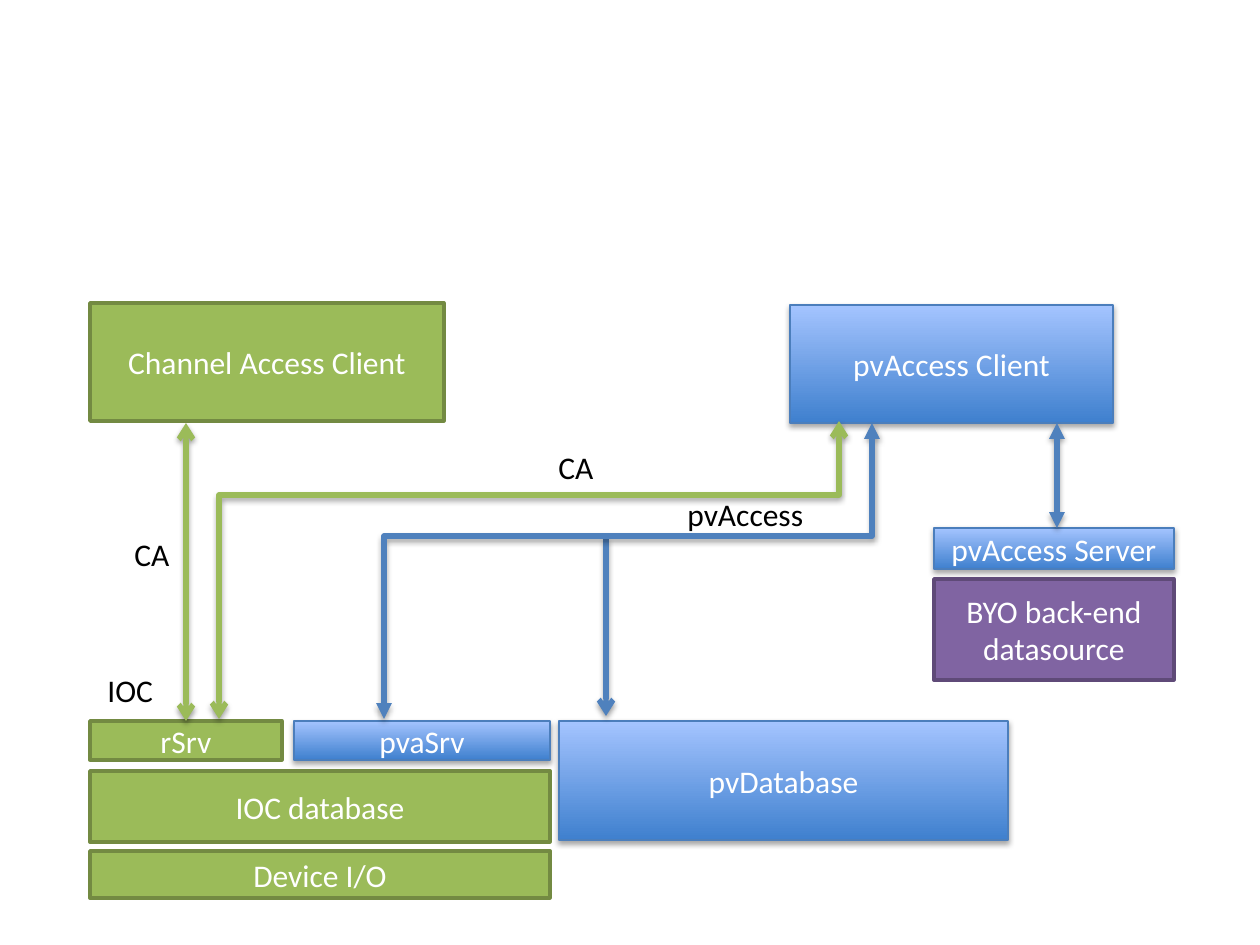
"""Build the architecture slide of Channel Access and pvAccess clients and servers."""
import lxml.etree
import pptx
import pptx.dml.color
import pptx.enum.shapes
import pptx.enum.text
import pptx.oxml.ns
import pptx.util

PX = 914400 / 126
FONT, SIZE = "Calibri", 18
WHITE, BLACK = "FFFFFF", "000000"
GREEN, BLUE = "9BBB59", "4F81BD"

STYLES = {
    "ca": {"fill": [GREEN], "line": "738A42", "width": 2},
    "pva": {"fill": ["3F80CE", "A4C4FF"], "line": "4B7EBC", "width": 0.75},
    "byo": {"fill": ["8064A2"], "line": "5F4A78", "width": 2},
}
BOXES = [
    ("pvAccess Client", "pva", 790, 305, 323, 118),
    ("Channel Access Client", "ca", 90, 303, 354, 118),
    ("IOC database", "ca", 90, 771, 460, 71),
    ("Device I/O", "ca", 90, 851, 460, 47),
    ("pvAccess Server", "pva", 934, 528, 240, 41),
    ("BYO back-end\ndatasource", "byo", 934, 579, 240, 101),
    ("pvDatabase", "pva", 559, 721, 449, 119),
    ("pvaSrv", "pva", 294, 721, 256, 39),
    ("rSrv", "ca", 90, 721, 192, 39),
]
LABELS = [
    ("pvAccess", 675, 489, 142),
    ("CA", 546, 442, 60),
    ("CA", 122, 529, 60),
    ("IOC", 95, 665, 72),
]
LABEL_HEIGHT = 50
STRAIGHT_LINKS = [
    (GREEN, (186, 423), (186, 721), "arrow", "arrow"),
    (BLUE, (1057, 423), (1057, 528), "triangle", "triangle"),
    (BLUE, (606, 539), (606, 716), None, "arrow"),
]
BENT_LINKS = [
    (BLUE, (872, 423), (384, 719), "triangle", 536),
    (GREEN, (839, 421), (219, 719), "arrow", 495),
]


def px(*values):
    return [pptx.util.Emu(round(v * PX)) for v in values]


def rgb(value):
    return pptx.dml.color.RGBColor.from_string(value)


def add_xml(parent, tag, **attributes):
    child = lxml.etree.SubElement(parent, pptx.oxml.ns.qn(tag))
    for name, value in attributes.items():
        child.set(name, str(value))
    return child


def add_shadow(effects, distance, opacity):
    shadow = add_xml(effects, "a:outerShdw", blurRad=40000, dist=distance,
                     dir=5400000, rotWithShape=0)
    add_xml(add_xml(shadow, "a:srgbClr", val=BLACK), "a:alpha", val=opacity * 1000)


def write(sp, text, color, align):
    p = sp.text_frame.paragraphs[0]
    p.text = text
    p.alignment = align
    for r in p.runs:
        r.font.name = FONT
        r.font.size = pptx.util.Pt(SIZE)
        r.font.color.rgb = rgb(color)


def add_box(s, text, style, *place):
    look = STYLES[style]
    sp = s.shapes.add_shape(pptx.enum.shapes.MSO_SHAPE.RECTANGLE, *px(*place))
    if len(look["fill"]) == 1:
        sp.fill.solid()
        sp.fill.fore_color.rgb = rgb(look["fill"][0])
    else:
        sp.fill.gradient()
        sp.fill.gradient_angle = 90
        for stop, color in zip(sp.fill.gradient_stops, look["fill"]):
            stop.color.rgb = rgb(color)
    sp.line.color.rgb = rgb(look["line"])
    sp.line.width = pptx.util.Pt(look["width"])
    sp.shadow.inherit = False
    if style == "pva":
        add_shadow(sp._element.spPr.find(pptx.oxml.ns.qn("a:effectLst")), 23000, 35)
    sp.text_frame.word_wrap = True
    sp.text_frame.vertical_anchor = pptx.enum.text.MSO_ANCHOR.MIDDLE
    write(sp, text, WHITE, pptx.enum.text.PP_ALIGN.CENTER)


def add_label(s, text, x, y, width):
    sp = s.shapes.add_textbox(*px(x, y, width, LABEL_HEIGHT))
    sp.text_frame.word_wrap = False
    sp.text_frame.auto_size = pptx.enum.text.MSO_AUTO_SIZE.SHAPE_TO_FIT_TEXT
    write(sp, text, BLACK, pptx.enum.text.PP_ALIGN.LEFT)


def format_link(link, color, head, tail):
    link.line.color.rgb = rgb(color)
    link.line.width = pptx.util.Pt(3)
    ln = link.line._get_or_add_ln()
    for tag, kind in (("a:headEnd", head), ("a:tailEnd", tail)):
        if kind:
            add_xml(ln, tag, type=kind)
    add_shadow(add_xml(link._element.spPr, "a:effectLst"), 20000, 38)


def add_straight_link(s, color, start, end, head, tail):
    kind = pptx.enum.shapes.MSO_CONNECTOR.STRAIGHT
    format_link(s.shapes.add_connector(kind, *px(*start, *end)), color, head, tail)


def add_bent_link(s, color, start, end, arrow, bend_y):
    """Draw an elbow turned by 90 degrees, so that it leaves and arrives vertically."""
    (x1, y1), (x2, y2) = start, end
    rise, run = y2 - y1, x1 - x2
    left, top = (x1 + x2 - rise) / 2, (y1 + y2 - run) / 2
    link = s.shapes.add_connector(pptx.enum.shapes.MSO_CONNECTOR.ELBOW,
                                  *px(left, top, left + rise, top + run))
    sp_pr = link._element.spPr
    sp_pr.find(pptx.oxml.ns.qn("a:xfrm")).set("rot", "5400000")
    guides = sp_pr.find(".//" + pptx.oxml.ns.qn("a:avLst"))
    bend = round((bend_y - y1) / rise * 100000)
    add_xml(guides, "a:gd", name="adj1", fmla=f"val {bend}")
    format_link(link, color, arrow, arrow)


def main():
    prs = pptx.Presentation()
    prs.slide_width, prs.slide_height = px(1260, 945)
    s = prs.slides.add_slide(prs.slide_layouts[6])
    for draw, items in ((add_box, BOXES), (add_straight_link, STRAIGHT_LINKS),
                        (add_bent_link, BENT_LINKS), (add_label, LABELS)):
        for item in items:
            draw(s, *item)
    prs.save("out.pptx")


if __name__ == "__main__":
    main()
